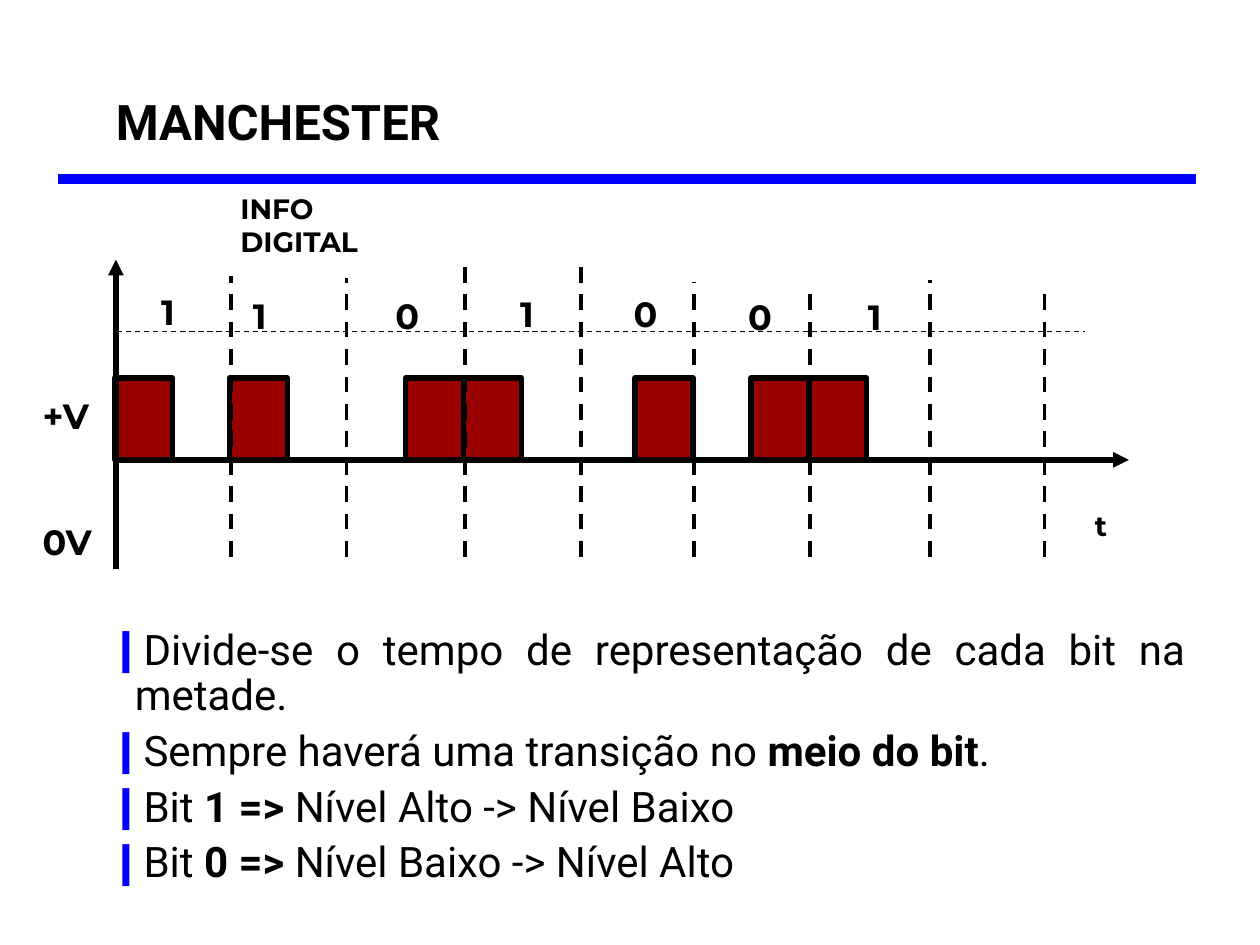
from lxml.etree import SubElement
from pptx import Presentation
from pptx.dml.color import RGBColor
from pptx.enum.dml import MSO_LINE_DASH_STYLE as DASH
from pptx.enum.shapes import MSO_CONNECTOR, MSO_SHAPE
from pptx.enum.text import MSO_ANCHOR, MSO_AUTO_SIZE, PP_ALIGN
from pptx.oxml.ns import qn
from pptx.util import Inches, Pt

BLACK = RGBColor(0x00, 0x00, 0x00)
BLUE = RGBColor(0x00, 0x00, 0xFF)
RED = RGBColor(0x99, 0x00, 0x00)

prs = Presentation()
prs.slide_width, prs.slide_height = Inches(10), Inches(7.5)
s = prs.slides.add_slide(prs.slide_layouts[1])

# Grid of 100 columns by 75 rows
COL, ROW = prs.slide_width / 100, prs.slide_height / 75


def add_text(text, x, y, w, h, shape=None, size=20, font="Montserrat", bold=True,
             wrap=False, align=PP_ALIGN.LEFT, spacing=1.0, before=0, bullet=None):
    """Write paragraphs, one per line of text; ** switches bold on and off."""
    box = [int(v) for v in (x * COL, y * ROW, w * COL, h * ROW)]
    sp = shape or s.shapes.add_textbox(*box)
    sp.left, sp.top, sp.width, sp.height = box
    tf = sp.text_frame
    tf.word_wrap, tf.auto_size = wrap, MSO_AUTO_SIZE.NONE
    tf.vertical_anchor = MSO_ANCHOR.TOP
    for i, line in enumerate(text.split("\n")):
        p = tf.add_paragraph() if i else tf.paragraphs[0]
        p.alignment, p.line_spacing = align, spacing
        p.space_before = Pt(before if i else 0)
        if bullet:
            pPr = p._p.get_or_add_pPr()
            pPr.set("marL", str(Inches(0.21)))
            pPr.set("indent", str(-Inches(0.21)))
            color = SubElement(pPr, qn("a:buClr"))
            SubElement(color, qn("a:srgbClr")).set("val", str(BLUE))
            SubElement(pPr, qn("a:buChar")).set("char", bullet)
        for j, part in enumerate(line.split("**")):
            r = p.add_run()
            r.text = part
            r.font.name, r.font.size = font, Pt(size)
            r.font.bold = bold or j % 2 == 1
            r.font.color.rgb = BLACK


def add_line(x1, y1, x2, y2, width, color=BLACK, dash=None, arrow=False):
    line = s.shapes.add_connector(MSO_CONNECTOR.STRAIGHT, int(x1 * COL), int(y1 * ROW),
                                  int(x2 * COL), int(y2 * ROW))
    line.line.color.rgb, line.line.width = color, Pt(width)
    if dash:
        line.line.dash_style = dash
    if arrow:
        SubElement(line.line._get_or_add_ln(), qn("a:tailEnd")).set("type", "triangle")
    SubElement(line._element.spPr, qn("a:effectLst"))


# Title and rule
add_text("MANCHESTER", 8.2, 7.3, 28.2, 5.2, shape=s.shapes.title,
         size=28, font="Roboto", spacing=0.9)
add_line(4.6, 14.2, 94.9, 14.2, 6, color=BLUE)
add_text("INFO DIGITAL", 18.1, 14.7, 17.2, 6.4, size=16, wrap=True)

# Pulses: a 1 is high in the first half of its bit, a 0 in the second half
EDGES = [9.2, 18.3, 27.5, 36.9, 46.1, 55.1, 64.3, 73.8, 82.9]
LINE_TOPS = [21.9, 22.1, 21.1, 21, 22.4, 23.3, 22.2, 23.1]
LABELS = [("1", 11.8, 22.6), ("1", 19.1, 22.9), ("0", 30.4, 22.9), ("1", 40.3, 22.7),
          ("0", 49.3, 22.7), ("0", 58.4, 23), ("1", 67.9, 23)]
PULSE_W, PULSE_H = 4.6, 6.5
for (bit, x, y), start, end in zip(LABELS, EDGES, EDGES[1:]):
    left = (start if bit == "1" else end - PULSE_W) - 0.1
    pulse = s.shapes.add_shape(MSO_SHAPE.RECTANGLE, int(left * COL), int(30 * ROW),
                               int(PULSE_W * COL), int(PULSE_H * ROW))
    pulse.shadow.inherit = False
    pulse.fill.solid()
    pulse.fill.fore_color.rgb = RED
    pulse.line.color.rgb, pulse.line.width = BLACK, Pt(3)
    add_text(bit, x, y, 3.6, 4.4)

# Axes and their labels
add_line(9.2, 45.2, 9.2, 20.6, 3, arrow=True)
add_line(9.2, 36.5, 89.6, 36.5, 3, arrow=True)
add_text("+V", 2.4, 30.8, 6.8, 4.4)
add_text("0V", 2.4, 40.8, 6.8, 4.4)
add_text("t", 85.9, 39.9, 3.5, 3.7, size=16)

# Bit boundaries and high level
for x, top in zip(EDGES[1:], LINE_TOPS):
    add_line(x, 44.2, x, top, 2.25, dash=DASH.DASH)
add_line(9.3, 26.3, 86.1, 26.3, 0.75, dash=DASH.DASH)

# Rules of the code
add_text("Divide-se o tempo de representação de cada bit na metade.\n"
         "Sempre haverá uma transição no **meio do bit**.\n"
         "Bit **1 => **Nível Alto -> Nível Baixo\n"
         "Bit **0 => **Nível Baixo -> Nível Alto",
         7.6, 49.4, 87.5, 21.5, shape=s.placeholders[1], size=24, font="Roboto",
         bold=False, wrap=True, align=PP_ALIGN.JUSTIFY, spacing=0.9, before=6, bullet="❙")

prs.save("out.pptx")
